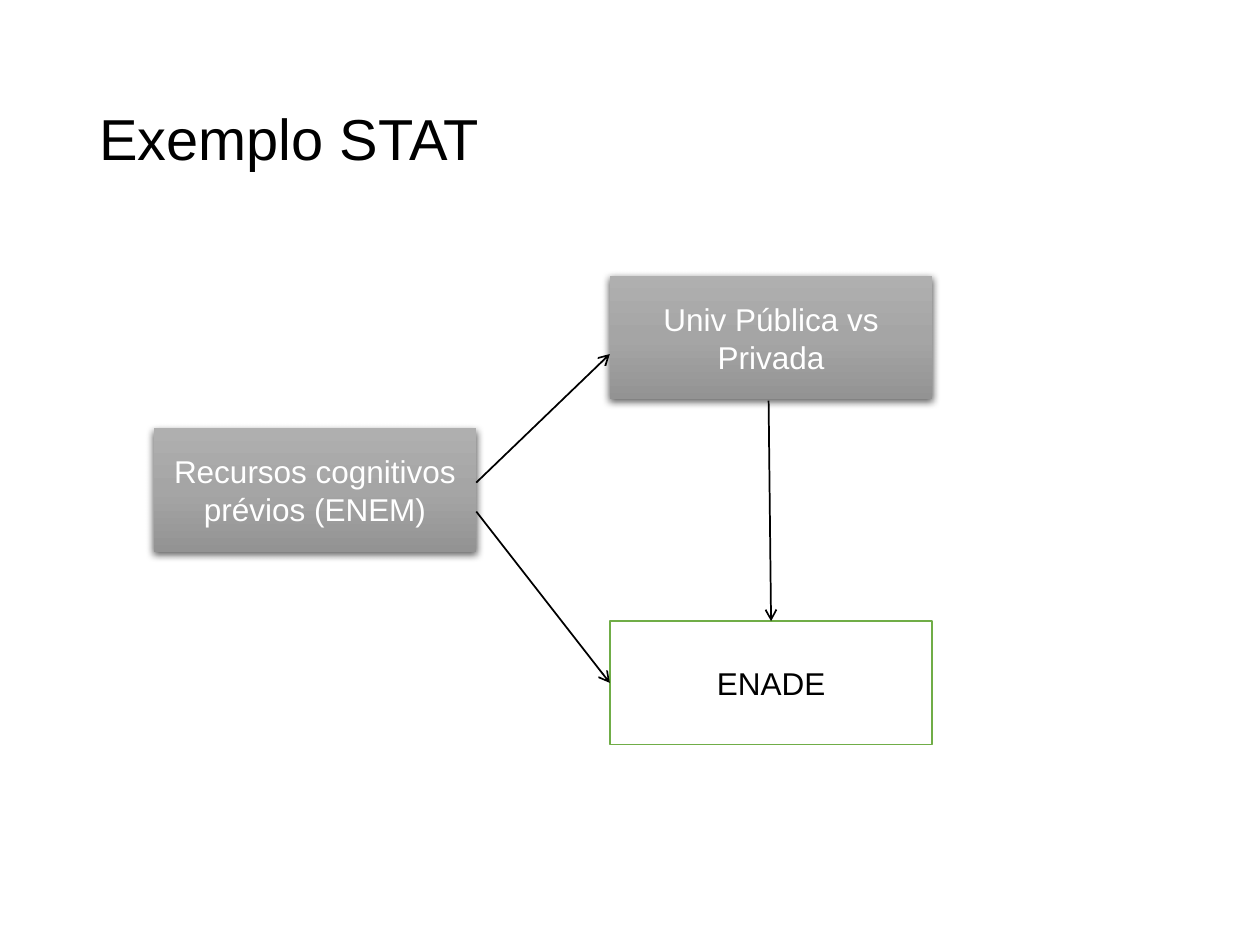
from copy import deepcopy

from lxml import etree
from pptx import Presentation, util as u
from pptx.dml.color import RGBColor
from pptx.enum import shapes, text
from pptx.oxml import ns

BLACK = RGBColor(0, 0, 0)
WHITE = RGBColor(255, 255, 255)
GREEN = RGBColor(0x70, 0xAD, 0x47)
GREYS = [RGBColor(0xAF, 0xAF, 0xAF), RGBColor(0xA5, 0xA5, 0xA5), RGBColor(0x93, 0x93, 0x93)]

BOX_WIDTH, BOX_HEIGHT = 2.56, 0.98
LEFT_COLUMN, RIGHT_COLUMN = 1.22, 4.84
TOP, LEFT = 0, 1


def add_element(parent, tag, **attributes):
    return etree.SubElement(parent, ns.qn(tag), {key: str(value) for key, value in attributes.items()})


def write_text(frame, content, size=18, color=BLACK, align=text.PP_ALIGN.CENTER, spacing=1.0, font="Arial"):
    frame.word_wrap = True
    frame.vertical_anchor = text.MSO_ANCHOR.MIDDLE
    para = frame.paragraphs[0]
    para.alignment = align
    para.line_spacing = spacing
    span = para.add_run()
    span.text = content
    span.font.name = font
    span.font.size = u.Pt(size)
    span.font.color.rgb = color


class PathDiagram:
    def __init__(self, page):
        self.page = page

    def title(self, content):
        box = self.page.shapes.add_textbox(u.Inches(0.69), u.Inches(0.4), u.Inches(8.62), u.Inches(1.45))
        write_text(box.text_frame, content, size=33, align=text.PP_ALIGN.LEFT, spacing=0.9)

    def box(self, content, left, top, color=BLACK):
        box = self.page.shapes.add_shape(
            shapes.MSO_SHAPE.RECTANGLE,
            u.Inches(left), u.Inches(top), u.Inches(BOX_WIDTH), u.Inches(BOX_HEIGHT))
        box.shadow.inherit = False
        write_text(box.text_frame, content, color=color)
        return box

    def outcome(self, content, left, top):
        box = self.box(content, left, top)
        box.fill.solid()
        box.fill.fore_color.rgb = WHITE
        box.line.color.rgb = GREEN
        box.line.width = u.Pt(1)
        return box

    def predictor(self, content, left, top):
        """Add a grey gradient box with a soft shadow below it."""
        box = self.box(content, left, top, color=WHITE)
        box.line.fill.background()
        box.fill.gradient()
        box.fill.gradient_angle = 270
        stop_list = box._element.spPr.find(".//" + ns.qn("a:gsLst"))
        stop_list.append(deepcopy(stop_list[-1]))
        for index, (stop, grey) in enumerate(zip(box.fill.gradient_stops, GREYS)):
            stop.position = index / 2
            stop.color.rgb = grey
        effects = box._element.spPr.find(ns.qn("a:effectLst"))
        shadow = add_element(effects, "a:outerShdw", blurRad=u.Pt(4.5), dist=u.Pt(1.5),
                             dir=5400000, algn="ctr", rotWithShape=0)
        shade = add_element(shadow, "a:srgbClr", val=BLACK)
        add_element(shade, "a:alpha", val=63000)
        return box

    def arrow(self, start, end, target=None, side=None):
        line = self.page.shapes.add_connector(
            shapes.MSO_CONNECTOR.STRAIGHT, *[u.Inches(value) for value in start + end])
        if target is not None:
            line.end_connect(target, side)
        line.line.color.rgb = BLACK
        line.line.width = u.Pt(1)
        add_element(line.line._get_or_add_ln(), "a:tailEnd", type="arrow")
        add_element(line._element.spPr, "a:effectLst")


def main():
    deck = Presentation()
    deck.slide_width, deck.slide_height = u.Inches(10), u.Inches(7.5)
    diagram = PathDiagram(deck.slides.add_slide(deck.slide_layouts[6]))

    diagram.title("Exemplo STAT")
    diagram.predictor("Univ Pública vs Privada", RIGHT_COLUMN, 2.19)
    enade = diagram.outcome("ENADE", RIGHT_COLUMN, 4.93)
    diagram.arrow((6.1, 3.18), (6.12, 4.93), enade, TOP)
    diagram.predictor("Recursos cognitivos prévios (ENEM)", LEFT_COLUMN, 3.4)
    resources_edge = LEFT_COLUMN + BOX_WIDTH
    diagram.arrow((resources_edge, 3.83), (RIGHT_COLUMN, 2.81))
    diagram.arrow((resources_edge, 4.06), (RIGHT_COLUMN, 5.42), enade, LEFT)

    deck.save("out.pptx")


if __name__ == "__main__":
    main()
